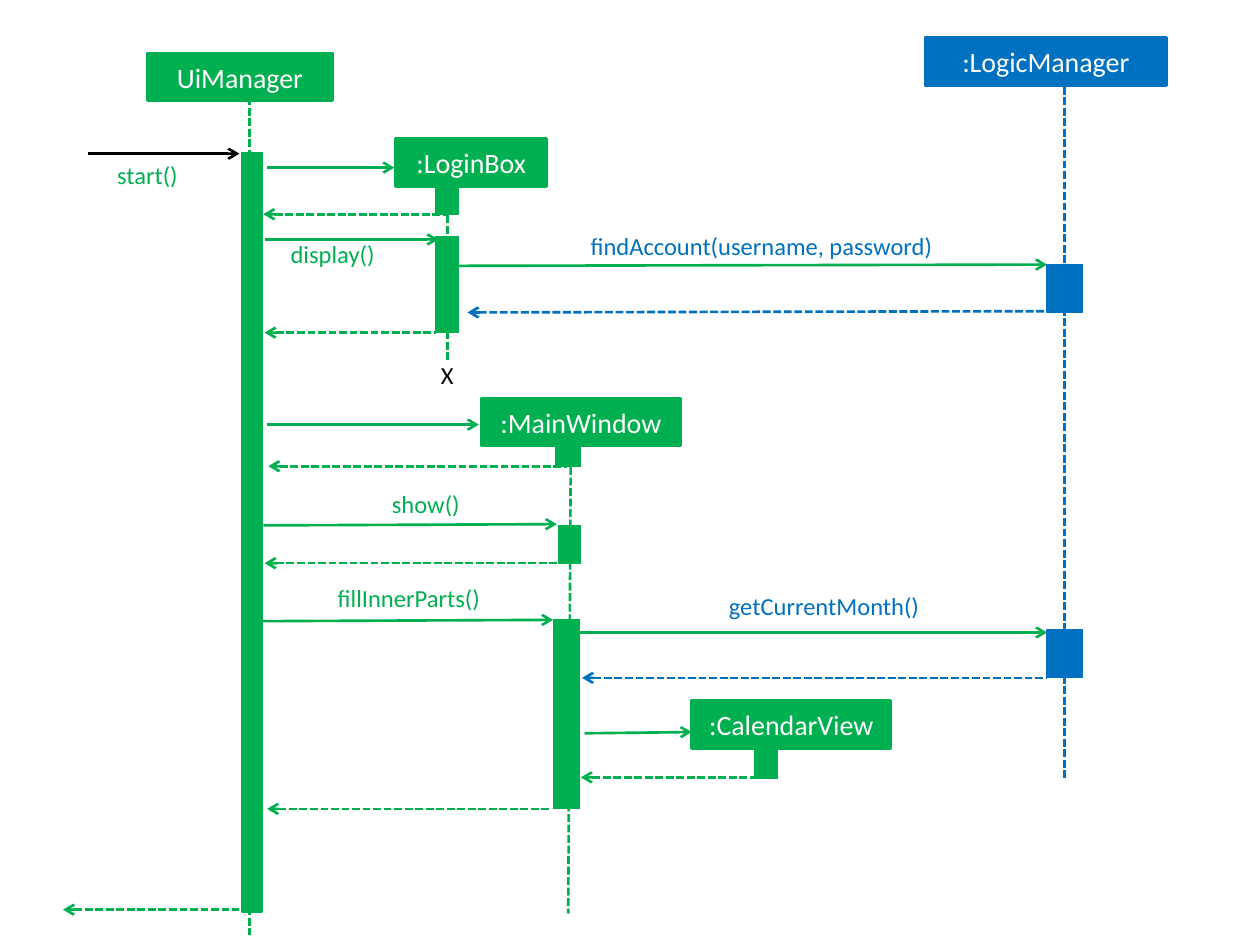
from dataclasses import dataclass

from lxml.etree import SubElement
from pptx import Presentation
from pptx.dml.color import RGBColor
from pptx.enum.dml import MSO_LINE
from pptx.enum.shapes import MSO_CONNECTOR, MSO_SHAPE
from pptx.enum.text import MSO_ANCHOR, PP_ALIGN
from pptx.oxml.ns import qn
from pptx.util import Inches, Pt

GREEN = RGBColor(0x00, 0xB0, 0x50)
BLUE = RGBColor(0x00, 0x70, 0xC0)
BLACK = RGBColor(0x00, 0x00, 0x00)
WHITE = RGBColor(0xFF, 0xFF, 0xFF)

FONT = "Calibri"
HEAD_HEIGHT = 0.38
LABEL_HEIGHT = 0.24


@dataclass
class Participant:
    name: str
    left: float
    top: float
    width: float
    color: RGBColor = GREEN


@dataclass
class Lifeline:
    x: float
    top: float
    bottom: float
    color: RGBColor = GREEN
    drift: float = 0


@dataclass
class Activation:
    left: float
    top: float
    width: float
    height: float
    color: RGBColor = GREEN


@dataclass
class Message:
    """A horizontal arrow; rise lifts its right end."""
    left: float
    right: float
    y: float
    color: RGBColor = GREEN
    is_return: bool = False
    rise: float = 0


@dataclass
class Label:
    text: str
    left: float
    top: float
    width: float = 0.94
    color: RGBColor = GREEN


PARTICIPANTS = [
    Participant("UiManager", 1.17, 0.42, 1.47),
    Participant(":LogicManager", 7.34, 0.3, 1.92, BLUE),
    Participant(":LoginBox", 3.14, 1.1, 1.2),
    Participant(":MainWindow", 3.82, 3.16, 1.58),
    Participant(":CalendarView", 5.49, 5.56, 1.58),
]

LIFELINES = [
    Lifeline(1.98, 0.69, 7.42),
    Lifeline(8.45, 0.69, 6.18, BLUE),
    Lifeline(3.55, 1.46, 2.92),
    Lifeline(4.53, 3.54, 7.25, drift=-0.02),
]

ACTIVATIONS = [
    Activation(1.92, 1.21, 0.16, 6.03),
    Activation(3.46, 1.46, 0.18, 0.24),
    Activation(3.46, 1.88, 0.18, 0.76),
    Activation(8.31, 2.1, 0.28, 0.38, BLUE),
    Activation(4.41, 3.54, 0.2, 0.16),
    Activation(4.43, 4.17, 0.18, 0.3),
    Activation(4.39, 4.92, 0.21, 1.5),
    Activation(8.31, 5, 0.28, 0.38, BLUE),
    Activation(5.99, 5.94, 0.18, 0.24),
]

MESSAGES = [
    Message(0.7, 1.9, 1.22, BLACK),
    Message(2.12, 3.13, 1.33),
    Message(2.09, 3.55, 1.7, is_return=True),
    Message(2.1, 3.48, 1.9),
    Message(3.62, 8.31, 2.11, rise=0.01),
    Message(3.71, 8.31, 2.48, BLUE, is_return=True, rise=0.01),
    Message(2.1, 3.46, 2.64, is_return=True),
    Message(2.12, 3.8, 3.37),
    Message(2.13, 4.5, 3.7, is_return=True),
    Message(2.09, 4.42, 4.17, rise=0.01),
    Message(2.1, 4.49, 4.47, is_return=True),
    Message(2.06, 4.39, 4.93, rise=0.01),
    Message(4.6, 8.31, 5.02),
    Message(4.62, 8.31, 5.38, BLUE, is_return=True),
    Message(4.64, 5.49, 5.82, rise=0.01),
    Message(4.61, 6.08, 6.17, is_return=True),
    Message(2.12, 4.38, 6.42, is_return=True),
    Message(0.5, 1.9, 7.22, is_return=True),
]

LABELS = [
    Label("start()", 0.7, 1.27),
    Label("display()", 2.17, 1.9),
    Label("findAccount(username, password)", 4.31, 1.83, 3.47, BLUE),
    Label("X", 3.08, 2.86, color=BLACK),
    Label("show()", 2.91, 3.88),
    Label("fillInnerParts()", 2.57, 4.63, 1.35),
    Label("getCurrentMonth()", 5.37, 4.69, 2.34, BLUE),
]


def add_box(slide, left: float, top: float, width: float, height: float,
            color: RGBColor, line_width: float = 0.75):
    shape = slide.shapes.add_shape(
        MSO_SHAPE.RECTANGLE, Inches(left), Inches(top), Inches(width), Inches(height))
    shape.shadow.inherit = False
    shape.fill.solid()
    shape.fill.fore_color.rgb = color
    shape.line.color.rgb = color
    shape.line.width = Pt(line_width)
    return shape


def add_line(slide, start: tuple[float, float], end: tuple[float, float],
             color: RGBColor, dashed: bool):
    connector = slide.shapes.add_connector(
        MSO_CONNECTOR.STRAIGHT, *map(Inches, start), *map(Inches, end))
    connector.line.color.rgb = color
    connector.line.width = Pt(1.5)
    if dashed:
        connector.line.dash_style = MSO_LINE.SQUARE_DOT
    SubElement(connector._element.spPr, qn("a:effectLst"))
    return connector


def write_text(shape, text: str, size: int, color: RGBColor) -> None:
    paragraph = shape.text_frame.paragraphs[0]
    paragraph.text = text
    paragraph.alignment = PP_ALIGN.CENTER
    paragraph.font.name = FONT
    paragraph.font.size = Pt(size)
    paragraph.font.color.rgb = color


def draw_participant(slide, head: Participant) -> None:
    shape = add_box(slide, head.left, head.top, head.width, HEAD_HEIGHT, head.color, 1.5)
    shape.text_frame.vertical_anchor = MSO_ANCHOR.MIDDLE
    write_text(shape, head.name, 16, WHITE)


def draw_label(slide, label: Label) -> None:
    shape = add_box(slide, label.left, label.top, label.width, LABEL_HEIGHT, WHITE)
    frame = shape.text_frame
    frame.margin_left = frame.margin_right = frame.margin_top = frame.margin_bottom = 0
    frame.vertical_anchor = MSO_ANCHOR.TOP
    write_text(shape, label.text, 14, label.color)


def draw_message(slide, message: Message) -> None:
    connector = add_line(slide, (message.left, message.y),
                         (message.right, message.y - message.rise),
                         message.color, message.is_return)
    arrow_end = "a:headEnd" if message.is_return else "a:tailEnd"
    SubElement(connector.line._get_or_add_ln(), qn(arrow_end), type="arrow")


def main() -> None:
    presentation = Presentation()
    presentation.slide_width = Inches(10)
    presentation.slide_height = Inches(7.5)
    slide = presentation.slides.add_slide(presentation.slide_layouts[6])

    for lifeline in LIFELINES:
        add_line(slide, (lifeline.x, lifeline.top),
                 (lifeline.x + lifeline.drift, lifeline.bottom), lifeline.color, True)
    for label in LABELS:
        draw_label(slide, label)
    for message in MESSAGES:
        draw_message(slide, message)
    for bar in ACTIVATIONS:
        add_box(slide, bar.left, bar.top, bar.width, bar.height, bar.color)
    for participant in PARTICIPANTS:
        draw_participant(slide, participant)

    presentation.save("out.pptx")


if __name__ == "__main__":
    main()
